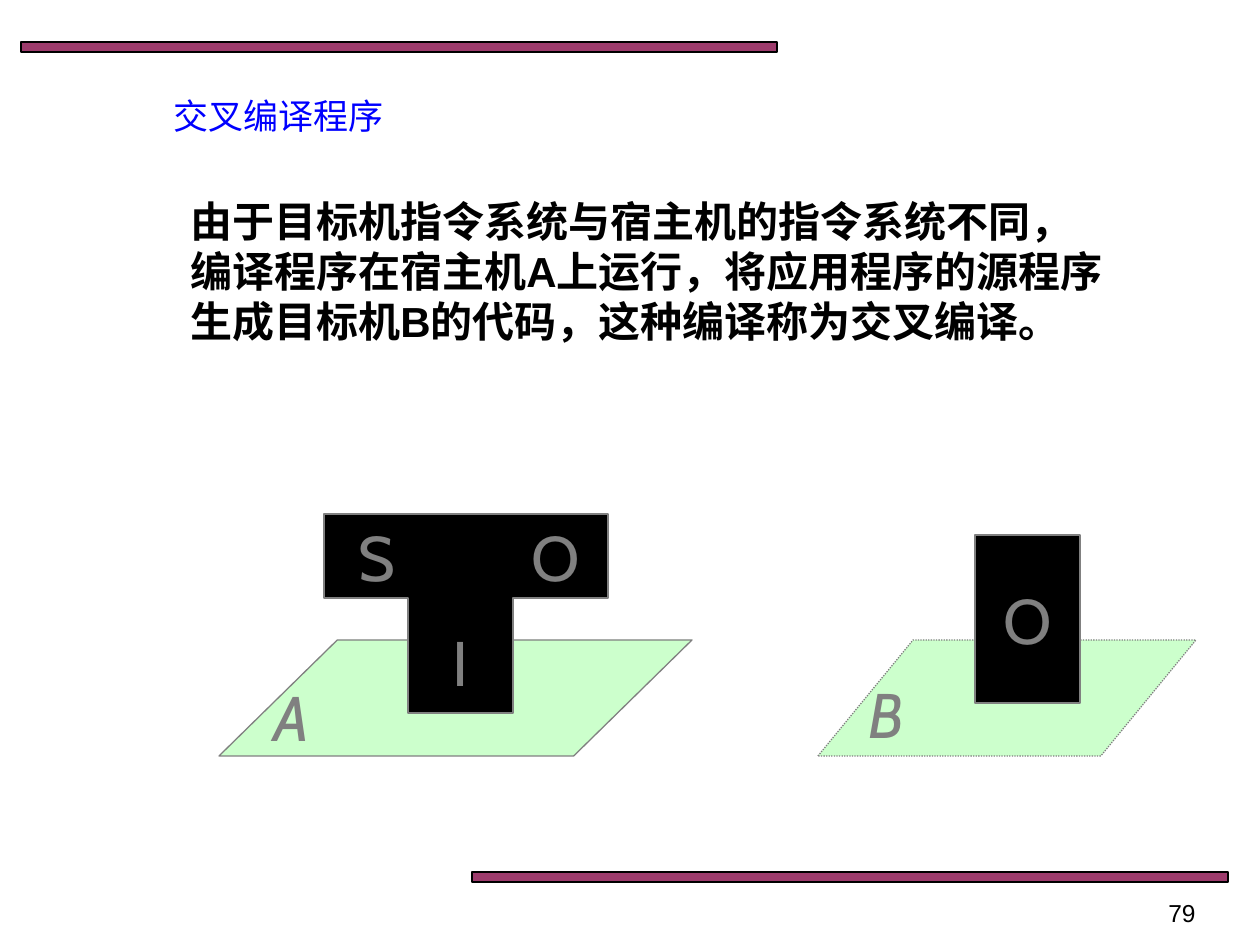
from dataclasses import dataclass

from lxml.etree import SubElement
from pptx import Presentation
from pptx.dml.color import RGBColor as Rgb
from pptx.enum.dml import MSO_LINE
from pptx.enum.shapes import MSO_SHAPE as Preset
from pptx.enum.text import MSO_ANCHOR as Anchor, PP_ALIGN as Align
from pptx.oxml.ns import qn
from pptx.util import Emu, Pt

EMU_PER_PX = 914400 / 126


@dataclass(frozen=True)
class Theme:
    """Colours, fonts and type sizes of the slide."""
    bar: str = "993366"
    ink: str = "000000"
    plane: str = "CCFFCC"
    edge: str = "808080"
    title: str = "0000FF"
    body_font: str = "Arial"
    title_font: str = "Noto Sans CJK SC"
    label_font: str = "Cabin"
    number_size: int = 14
    title_size: int = 20
    body_size: int = 24
    label_size: int = 36


THEME = Theme()


def px(length):
    """Turn px into EMU."""
    return Emu(round(length * EMU_PER_PX))


def paint(shape, fill, line):
    """Give a shape its fill and thin outline, without a shadow."""
    shape.shadow.inherit = False
    shape.fill.solid()
    shape.fill.fore_color.rgb = Rgb.from_string(fill)
    shape.line.color.rgb = Rgb.from_string(line)
    shape.line.width = Pt(0.75)
    return shape


def add_preset(slide, preset, box, fill, line):
    """Add a painted preset shape."""
    return paint(slide.shapes.add_shape(preset, *map(px, box)), fill, line)


def write(shape, words, font, size, color, align=Align.LEFT,
          anchor=Anchor.TOP, wrap=True, bold=False, italic=False):
    """Fill a shape with one formatted paragraph and return it."""
    frame = shape.text_frame
    frame.text = words
    frame.word_wrap = wrap
    frame.vertical_anchor = anchor
    paragraph = frame.paragraphs[0]
    paragraph.alignment = align
    for run in paragraph.runs:
        run.font.name = font
        run.font.size = Pt(size)
        run.font.color.rgb = Rgb.from_string(color)
        run.font.bold = bold
        run.font.italic = italic
    return paragraph


def add_text(slide, box, words, font, size, color, **style):
    """Add a text box and return its paragraph."""
    holder = slide.shapes.add_textbox(*map(px, box))
    return write(holder, words, font, size, color, **style)


def write_label(shape, letter, italic=False):
    """Centre a diagram letter in a shape."""
    write(shape, letter, THEME.label_font, THEME.label_size, THEME.edge,
          align=Align.CENTER, anchor=Anchor.MIDDLE, wrap=False, italic=italic)


def add_label(slide, center_x, center_y, letter, italic=False):
    """Add a diagram letter around a centre point."""
    width, height = 64, 88
    box = (center_x - width // 2, center_y - height // 2, width, height)
    write_label(slide.shapes.add_textbox(*map(px, box)), letter, italic)


def draw_bar(slide, box):
    """Draw one decorative bar, slightly see-through."""
    bar = add_preset(slide, Preset.RECTANGLE, box, THEME.bar, THEME.ink)
    color = bar.fill._xPr.find(qn("a:solidFill"))[0]
    SubElement(color, qn("a:alpha"), val="96000")


def draw_page_number(slide, box):
    """Draw the page number at the right of its box."""
    add_text(slide, box, "79", THEME.body_font, THEME.number_size, THEME.ink,
             align=Align.RIGHT)


def draw_title(slide, box):
    """Draw the slide title."""
    paragraph = add_text(slide, box, "交叉编译程序", THEME.title_font,
                         THEME.title_size, THEME.title, anchor=Anchor.MIDDLE)
    for run in paragraph.runs:
        SubElement(run.font._element, qn("a:ea"), typeface=THEME.title_font)


def draw_explanation(slide, box):
    """Draw the indented definition of cross compiling."""
    paragraph = add_text(
        slide, box,
        "由于目标机指令系统与宿主机的指令系统不同，\v"
        "编译程序在宿主机A上运行，将应用程序的源程序"
        "生成目标机B的代码，这种编译称为交叉编译。",
        THEME.body_font, THEME.body_size, THEME.ink, bold=True)
    paragraph.space_before = Pt(2.4)
    properties = paragraph._p.get_or_add_pPr()
    properties.set("marL", str(px(52)))
    properties.set("indent", "0")


def draw_plane(slide, box, slant):
    """Draw the slanted floor that stands for a machine."""
    plane = add_preset(slide, Preset.PARALLELOGRAM, box, THEME.plane, THEME.edge)
    plane.adjustments[0] = slant
    return plane


def draw_host(slide, box):
    """Draw host machine A carrying the T-shaped compiler."""
    left, top, width, height = box
    draw_plane(slide, (left, top + 126, width, height - 126), 1.02)
    outline = [(0, 0), (0, 84), (84, 84), (84, 199),
               (189, 199), (189, 84), (284, 84), (284, 0)]
    corners = [(px(left + 105 + x), px(top + y)) for x, y in outline]
    builder = slide.shapes.build_freeform(*corners[0])
    builder.add_line_segments(corners[1:], close=True)
    paint(builder.convert_to_shape(), THEME.ink, THEME.edge)
    for letter, x, y in (("S", 158, 42), ("O", 332, 42), ("I", 242, 147)):
        add_label(slide, left + x, top + y, letter)
    add_label(slide, left + 72, top + 202, "A", italic=True)


def draw_target(slide, box):
    """Draw target machine B carrying the object program."""
    left, top, width, height = box
    plane = draw_plane(slide, (left, top + 105, width, height - 105), 0.82)
    plane.line.dash_style = MSO_LINE.ROUND_DOT
    program = add_preset(slide, Preset.RECTANGLE, (left + 157, top, 105, 168),
                         THEME.ink, THEME.edge)
    write_label(program, "O")
    add_label(slide, left + 68, top + 178, "B", italic=True)


def main():
    """Build and save the slide."""
    deck = Presentation()
    deck.slide_width, deck.slide_height = px(1260), px(945)
    slide = deck.slides.add_slide(deck.slide_layouts[6])
    draw_bar(slide, (21, 42, 756, 10))
    draw_bar(slide, (472, 872, 756, 10))
    draw_page_number(slide, (914, 892, 294, 34))
    draw_target(slide, (818, 535, 378, 221))
    draw_host(slide, (219, 514, 473, 242))
    draw_explanation(slide, (126, 189, 1013, 189))
    draw_title(slide, (161, 63, 1071, 105))
    deck.save("out.pptx")


if __name__ == "__main__":
    main()
